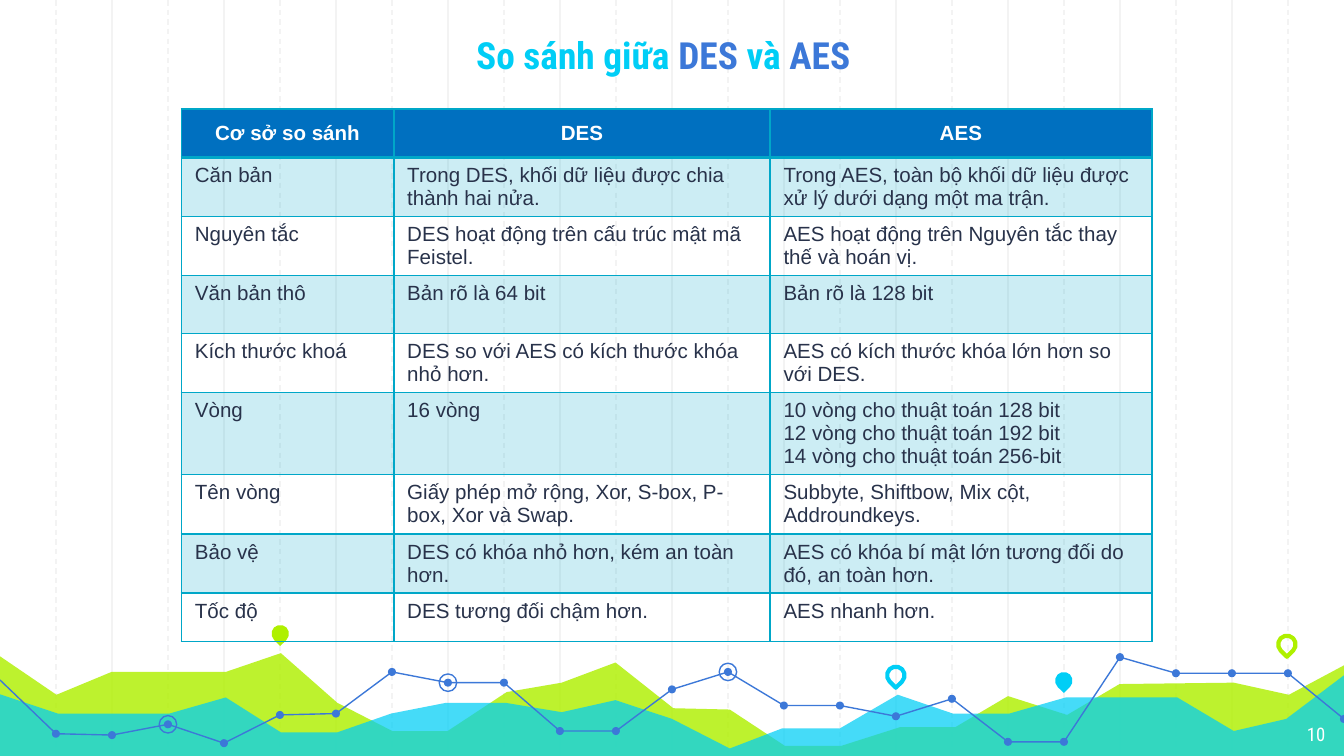
from lxml import etree
from pptx import Presentation
from pptx.dml.color import RGBColor
from pptx.enum.dml import MSO_LINE
from pptx.enum.shapes import MSO_CONNECTOR, MSO_SHAPE
from pptx.enum.text import MSO_ANCHOR, MSO_AUTO_SIZE, PP_ALIGN
from pptx.oxml.ns import qn
from pptx.util import Inches, Pt

DASH = MSO_LINE.DASH
STRAIGHT = MSO_CONNECTOR.STRAIGHT
OVAL, TEARDROP = MSO_SHAPE.OVAL, MSO_SHAPE.TEAR
CENTER, LEFT, RIGHT = PP_ALIGN.CENTER, PP_ALIGN.LEFT, PP_ALIGN.RIGHT
TOP, MIDDLE, BOTTOM = MSO_ANCHOR.TOP, MSO_ANCHOR.MIDDLE, MSO_ANCHOR.BOTTOM

COLORS = {"grid": "F3F3F3", "lime": "AFF000", "cyan": "00CEF6", "blue": "3C78D8",
          "header": "0070C0", "teal": "00A7C8", "ink": "28324A", "white": "FFFFFF"}
HEADING_FONT, TABLE_FONT = "Roboto Condensed", "Arial"

TITLE = [("So sánh giữa\u00a0", "cyan"), ("DES\u00a0", "blue"),
         ("và\u00a0", "cyan"), ("AES", "blue")]
PAGE_NUMBER = "10"
ROWS = [
    ("Cơ sở\u00a0so\u00a0sánh", "DES", "AES"),
    ("Căn bản", "Trong DES, khối dữ liệu được chia thành hai nửa.",
     "Trong AES, toàn bộ khối dữ liệu được xử lý dưới dạng một ma trận."),
    ("Nguyên tắc", "DES hoạt động trên cấu trúc mật mã Feistel.",
     "AES hoạt động trên Nguyên tắc thay thế và hoán vị."),
    ("Văn bản thô", "Bản rõ là 64 bit", "Bản rõ là 128 bit"),
    ("Kích thước khoá", "DES so với AES có kích thước khóa nhỏ hơn.",
     "AES có kích thước khóa lớn hơn so với DES."),
    ("Vòng", "16 vòng", "10 vòng cho thuật toán 128 bit\v"
     "12 vòng cho thuật toán 192 bit\v14 vòng cho thuật toán 256-bit"),
    ("Tên vòng", "Giấy phép mở rộng, Xor, S-box, P-box, Xor và Swap.",
     "Subbyte, Shiftbow, Mix cột, Addroundkeys."),
    ("Bảo\u00a0vệ\u00a0", "DES có khóa nhỏ hơn, kém an toàn hơn.",
     "AES có khóa bí mật lớn tương đối do đó, an toàn hơn."),
    ("Tốc\u00a0độ", "DES tương đối chậm hơn.", "AES nhanh hơn."),
]
COLUMN_WIDTHS = [1.58, 2.8, 2.84]
ROW_HEIGHTS = [0.36, 0.44, 0.44, 0.43, 0.44, 0.61, 0.44, 0.44, 0.36]

# Area outlines: color, opacity in percent, points
AREAS = [
    ("lime", 82, [
        (-0.02, 4.87), (0.42, 5.17), (0.83, 5), (1.68, 5), (2.09, 4.86), (2.51, 5.23),
        (2.92, 5.44), (3.33, 5.44), (3.77, 5.15), (4.18, 5.08), (4.58, 4.93), (5.01, 5.27),
        (5.43, 5.28), (5.84, 5.55), (6.26, 5.55), (6.7, 5.41), (7.11, 5.41), (7.5, 5.18),
        (7.94, 5.32), (8.33, 5.09), (9.18, 5.08), (9.59, 5.17), (10.02, 4.94),
        (10.01, 5.64), (-0.03, 5.64)]),
    ("cyan", 73, [
        (-0.02, 5.16), (0.43, 5.31), (1.26, 5.31), (1.68, 5.19), (2.09, 5.45), (2.51, 5.45),
        (2.91, 5.31), (3.32, 5.23), (3.76, 5.23), (4.18, 5.3), (4.58, 5.21), (5, 5.35),
        (5.43, 5.57), (5.82, 5.42), (6.25, 5.42), (6.68, 5.17), (7.09, 5.31), (7.51, 5.31),
        (7.93, 5.19), (8.76, 5.19), (9.18, 5.44), (9.57, 5.35), (10.02, 5.01),
        (10.02, 5.65), (-0.03, 5.65)]),
]
# Pins: left, top, color, filled
PINS = [(2.02, 4.65, "lime", True), (6.6, 4.96, "cyan", False),
        (7.85, 5, "cyan", True), (9.51, 4.73, "lime", False)]
GRID_STEP = 10 / 24
CURVE_HEIGHTS = [5.06, 5.46, 5.47, 5.39, 5.53, 5.32, 5.31, 5, 5.08, 5.08, 5.44, 5.44, 5.13,
                 5, 5.25, 5.25, 5.33, 5.2, 5.52, 5.52, 4.89, 5.01, 5.01, 5.01, 5.35]
CURVE_BREAKS = [0, 11, 20, 24]
RINGED = [3, 8, 13]
DOT, MARK = 0.06, 0.13


def rgb(name):
    """Return a palette color."""
    return RGBColor.from_string(COLORS[name])


def paint(shape, fill=None, line=None, width=0.75):
    """Set fill and outline of a shape, None meaning none."""
    shape.shadow.inherit = False
    for part, color in ((shape.fill, fill), (shape.line.fill, line)):
        if color:
            part.solid()
            part.fore_color.rgb = rgb(color)
        else:
            part.background()
    if line:
        shape.line.width = Pt(width)


def set_opacity(element, percent):
    """Make the first color inside an element partly transparent."""
    color = next(element.iter(qn("a:srgbClr")))
    etree.SubElement(color, qn("a:alpha")).set("val", str(percent * 1000))


def add_path(page, points, closed):
    """Draw a freeform through points in inches."""
    corners = [(Inches(x), Inches(y)) for x, y in points]
    builder = page.shapes.build_freeform(*corners[0])
    builder.add_line_segments(corners[1:], close=closed)
    return builder.convert_to_shape()


def add_mark(page, kind, left, top, size):
    """Add a small square-framed shape."""
    return page.shapes.add_shape(kind, *(Inches(v) for v in (left, top, size, size)))


def style_run(run, font, size, color, bold=False):
    """Format one run."""
    run.font.name, run.font.size, run.font.bold = font, Pt(size), bold
    run.font.color.rgb = rgb(color)


def add_grid(page):
    """Draw the vertical guide lines, every other one dashed."""
    for index in range(1, 24):
        x = Inches(index * GRID_STEP)
        guide = page.shapes.add_connector(STRAIGHT, x, 0, x, Inches(5.65))
        guide.line.color.rgb = rgb("grid")
        guide.line.width = Pt(0.75)
        if index % 2:
            guide.line.dash_style = DASH
        etree.SubElement(guide.element.spPr, qn("a:effectLst"))


def add_landscape(page):
    """Draw the areas, pins and dotted curve at the bottom."""
    for color, opacity, points in AREAS:
        area = add_path(page, points, True)
        paint(area, fill=color)
        set_opacity(area.element.spPr, opacity)
    for left, top, color, filled in PINS:
        pin = add_mark(page, TEARDROP, left, top, MARK)
        pin.rotation = 135
        paint(pin, color if filled else None, None if filled else color, 2.25)
    curve = [(index * GRID_STEP, y) for index, y in enumerate(CURVE_HEIGHTS)]
    for first, last in zip(CURVE_BREAKS, CURVE_BREAKS[1:]):
        paint(add_path(page, curve[first:last + 1], False), line="blue")
    for x, y in curve[1:]:
        paint(add_mark(page, OVAL, x - DOT / 2, y - DOT / 2, DOT), fill="blue")
    for x, y in (curve[index] for index in RINGED):
        paint(add_mark(page, OVAL, x - MARK / 2, y - MARK / 2, MARK), line="blue")


def set_frame(box, position, anchor):
    """Place a text shape and set its margins."""
    box.left, box.top, box.width, box.height = (Inches(v) for v in position)
    frame = box.text_frame
    frame.word_wrap, frame.auto_size = True, MSO_AUTO_SIZE.NONE
    frame.vertical_anchor = anchor
    frame.margin_left = frame.margin_right = Inches(0.1)
    frame.margin_top = frame.margin_bottom = Inches(0.1)
    return frame.paragraphs[0]


def add_texts(page):
    """Fill the title and add the page number."""
    title = page.shapes.title
    title.element.getparent().append(title.element)
    para = set_frame(title, (1.11, -0.11, 7.65, 0.78), BOTTOM)
    para.alignment = CENTER
    for text, color in TITLE:
        span = para.add_run()
        span.text = text
        style_run(span, HEADING_FONT, 20, color, True)
    number = page.shapes.add_textbox(0, 0, 0, 0)
    para = set_frame(number, (9.36, 5.28, 0.6, 0.35), TOP)
    para.text, para.alignment = PAGE_NUMBER, RIGHT
    style_run(para.runs[0], HEADING_FONT, 10, "white")


def set_borders(cell, bottom_width):
    """Outline a cell in teal."""
    for side in "LRTB":
        width = Pt(bottom_width if side == "B" else 1)
        edge = etree.SubElement(cell._tc.get_or_add_tcPr(), qn(f"a:ln{side}"), w=str(width))
        fill = etree.SubElement(edge, qn("a:solidFill"))
        etree.SubElement(fill, qn("a:srgbClr"), val=COLORS["teal"])


def add_comparison(page):
    """Build the comparison table."""
    size = Inches(sum(COLUMN_WIDTHS)), Inches(sum(ROW_HEIGHTS))
    table = page.shapes.add_table(len(ROWS), 3, Inches(1.35), Inches(0.81), *size).table
    table.horz_banding = False
    for column, width in zip(table.columns, COLUMN_WIDTHS):
        column.width = Inches(width)
    for index, (row, height, texts) in enumerate(zip(table.rows, ROW_HEIGHTS, ROWS)):
        row.height = Inches(height)
        header = index == 0
        for cell, text in zip(row.cells, texts):
            set_borders(cell, 2 if header else 1)
            if header or index % 2:
                cell.fill.solid()
                cell.fill.fore_color.rgb = rgb("header" if header else "teal")
                if not header:
                    set_opacity(cell._tc.tcPr.find(qn("a:solidFill")), 20)
            else:
                cell.fill.background()
            cell.vertical_anchor = MIDDLE if header else TOP
            para = cell.text_frame.paragraphs[0]
            para.text, para.alignment = text, CENTER if header else LEFT
            for span in para.runs:
                style_run(span, TABLE_FONT, 11, "white" if header else "ink", header)


deck = Presentation()
deck.slide_width = Inches(10)
deck.slide_height = deck.slide_width * 9 // 16
slide = deck.slides.add_slide(deck.slide_layouts[5])
for build in (add_grid, add_landscape, add_texts, add_comparison):
    build(slide)
deck.save("out.pptx")
